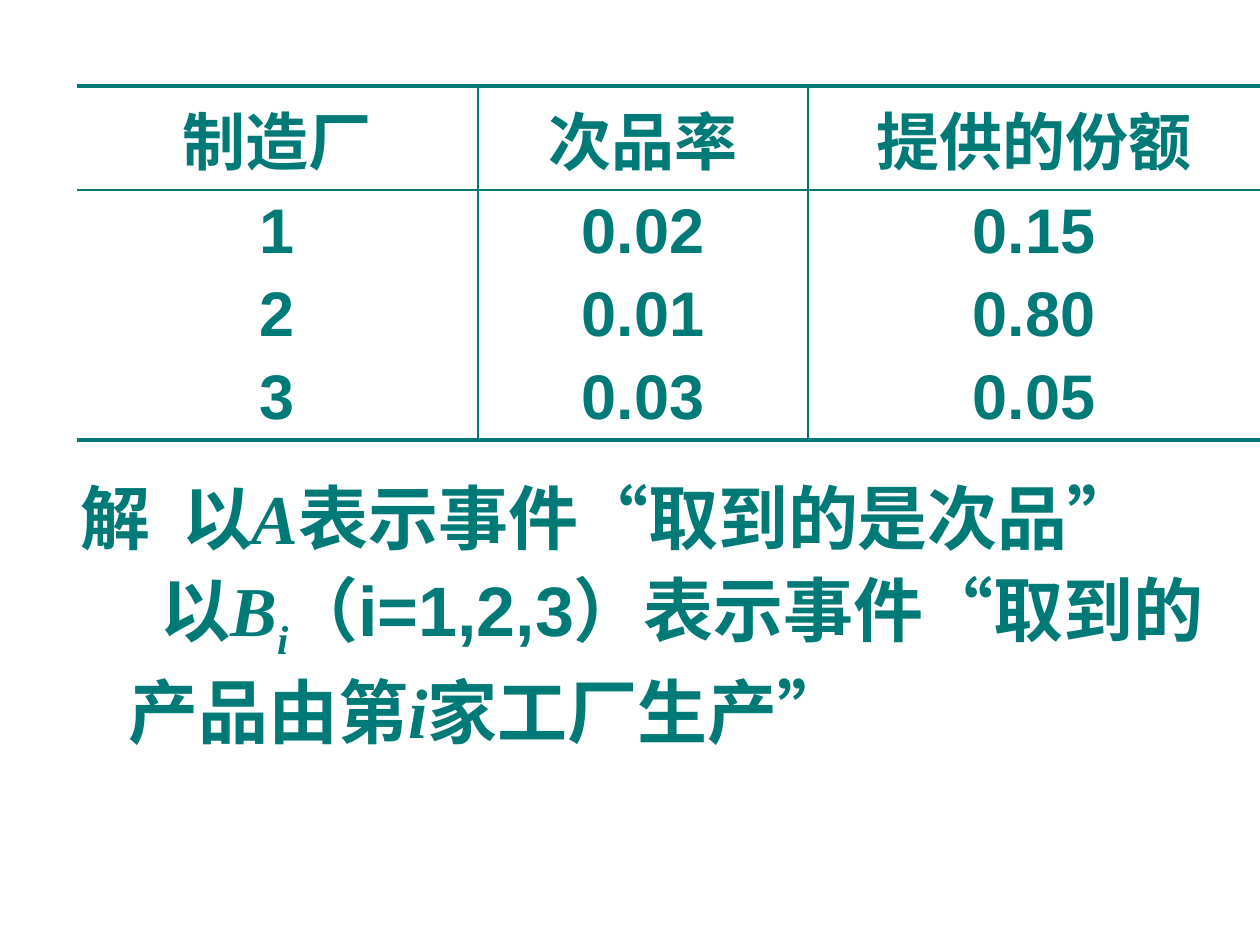
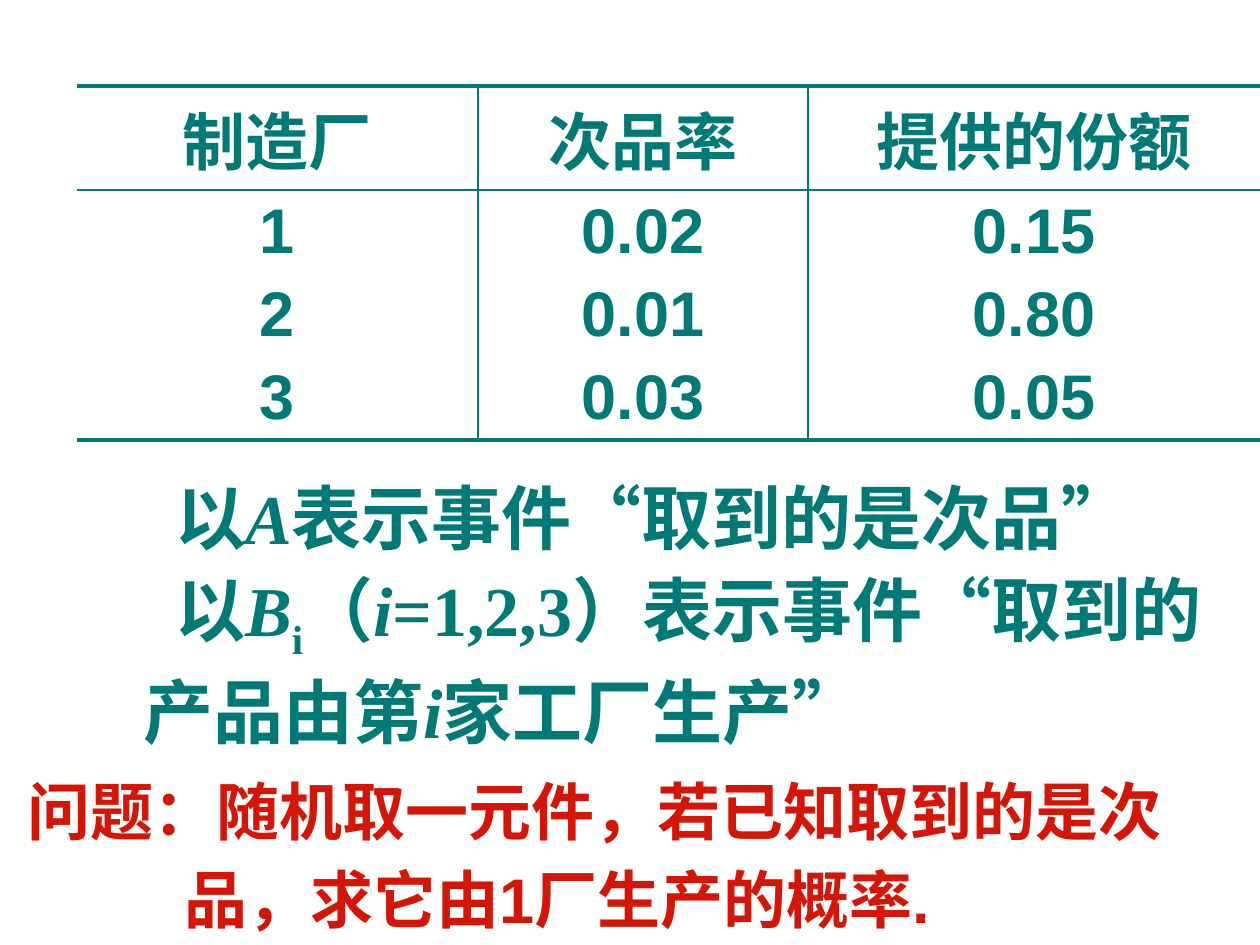
import lxml.etree
import pptx
import pptx.dml.color
import pptx.enum.lang
import pptx.enum.shapes
import pptx.enum.text
import pptx.oxml.ns
import pptx.util

SCALE = 914400 / 126
TEAL, RED, WHITE = "007A77", "D51607", "FFFFFF"
SANS, SERIF = "Arial", "Times New Roman"
HEAVY, LIGHT = 28575, 12700
qn = pptx.oxml.ns.qn


def px(length):
    return pptx.util.Emu(round(length * SCALE))


def add_run(paragraph, text, size, color, font=SANS, italic=False, baseline=0, spacing=0):
    run = paragraph.add_run()
    run.text = text
    run.font.size = pptx.util.Pt(size)
    run.font.name = font
    run.font.bold = True
    run.font.italic = italic
    run.font.language_id = pptx.enum.lang.MSO_LANGUAGE_ID.SIMPLIFIED_CHINESE
    run.font.color.rgb = pptx.dml.color.RGBColor.from_string(color)
    if baseline:
        run._r.get_or_add_rPr().set("baseline", str(baseline))
    if spacing:
        run._r.get_or_add_rPr().set("spc", str(spacing))


rows = [
    ("制造厂", "次品率", "提供的份额"),
    ("1", "0.02", "0.15"),
    ("2", "0.01", "0.80"),
    ("3", "0.03", "0.05"),
]
column_widths = [401, 330, 452]
row_heights = [104, 83, 83, 84]
top_lines = [HEAVY, LIGHT, 0, 0]
bottom_lines = [LIGHT, 0, 0, HEAVY]

slides = [
    (68, [
        (48, -48, [
            ("解", SANS), (" ", SANS, False, 0, 900), ("以", SANS),
            ("A", SERIF, True), ("表示事件“取到的是次品”", SANS),
        ]),
        (48, 32, [
            ("以", SANS), ("B", SERIF, True), ("i", SERIF, True, -25000),
            ("（i=1,2,3）表示事件“取到的产品由第", SANS),
            ("i", SERIF, True), ("家工厂生产”", SANS),
        ]),
    ], []),
    (83, [
        (48, 32, [
            ("以", SERIF), ("A", SERIF, True), ("表示事件“取到的是次品”", SERIF),
        ]),
        (48, 32, [
            ("以", SERIF), ("B", SERIF, True), ("i", SERIF, False, -25000),
            ("（", SERIF), ("i", SERIF, True),
            ("=1,2,3）表示事件“取到的产品由第", SERIF),
            ("i", SERIF, True), ("家工厂生产”", SERIF),
        ]),
    ], [
        (0, 0, [("问题：随机取一元件，若已知取到的是次", SANS)]),
        (157, 0, [("品，求它由1厂生产的概率.", SANS)]),
    ]),
]

presentation = pptx.Presentation()
presentation.slide_width = px(1260)
presentation.slide_height = px(945)

for solution_left, solution, question in slides:
    slide = presentation.slides.add_slide(presentation.slide_layouts[6])
    solution_box = slide.shapes.add_textbox(px(solution_left), px(462), px(1177), px(399))
    text_blocks = [(solution_box, solution, 40, TEAL, 0)]

    table_frame = slide.shapes.add_table(
        len(rows), len(column_widths), px(77), px(86), px(sum(column_widths)), px(sum(row_heights)))
    table = table_frame.table
    table.first_row = False
    table.horz_banding = False
    for column, width in zip(table.columns, column_widths):
        column.width = px(width)
    for row_index, values in enumerate(rows):
        table.rows[row_index].height = px(row_heights[row_index])
        for column_index, value in enumerate(values):
            cell = table.cell(row_index, column_index)
            cell.vertical_anchor = pptx.enum.text.MSO_ANCHOR.MIDDLE
            cell.margin_top = cell.margin_bottom = px(2)
            paragraph = cell.text_frame.paragraphs[0]
            paragraph.alignment = pptx.enum.text.PP_ALIGN.CENTER
            add_run(paragraph, value, 36, TEAL)
            borders = {
                "a:lnL": LIGHT if column_index > 0 else 0,
                "a:lnR": LIGHT if column_index < len(values) - 1 else 0,
                "a:lnT": top_lines[row_index],
                "a:lnB": bottom_lines[row_index],
            }
            properties = cell._tc.get_or_add_tcPr()
            for tag, width in borders.items():
                line = lxml.etree.SubElement(properties, qn(tag), w=str(width))
                if width:
                    fill = lxml.etree.SubElement(line, qn("a:solidFill"))
                    lxml.etree.SubElement(fill, qn("a:srgbClr"), val=TEAL)
                else:
                    lxml.etree.SubElement(line, qn("a:noFill"))
            cell.fill.background()

    if question:
        question_box = slide.shapes.add_shape(
            pptx.enum.shapes.MSO_SHAPE.RECTANGLE, px(15), px(760), px(1245), px(185))
        question_box.shadow.inherit = False
        question_box.fill.solid()
        question_box.fill.fore_color.rgb = pptx.dml.color.RGBColor.from_string(WHITE)
        question_box.line.fill.background()
        text_blocks.append((question_box, question, 36, RED, 4))

    for shape, paragraphs, size, color, gap in text_blocks:
        frame = shape.text_frame
        frame.word_wrap = True
        frame.vertical_anchor = pptx.enum.text.MSO_ANCHOR.TOP
        for index, (margin, indent, runs) in enumerate(paragraphs):
            paragraph = frame.add_paragraph() if index else frame.paragraphs[0]
            paragraph.alignment = pptx.enum.text.PP_ALIGN.LEFT
            paragraph.line_spacing = 1.08
            paragraph.space_before = pptx.util.Pt(gap if index else 0)
            properties = paragraph._p.get_or_add_pPr()
            properties.set("marL", str(px(margin)))
            properties.set("indent", str(px(indent)))
            for text, *style in runs:
                add_run(paragraph, text, size, color, *style)

presentation.save("out.pptx")
